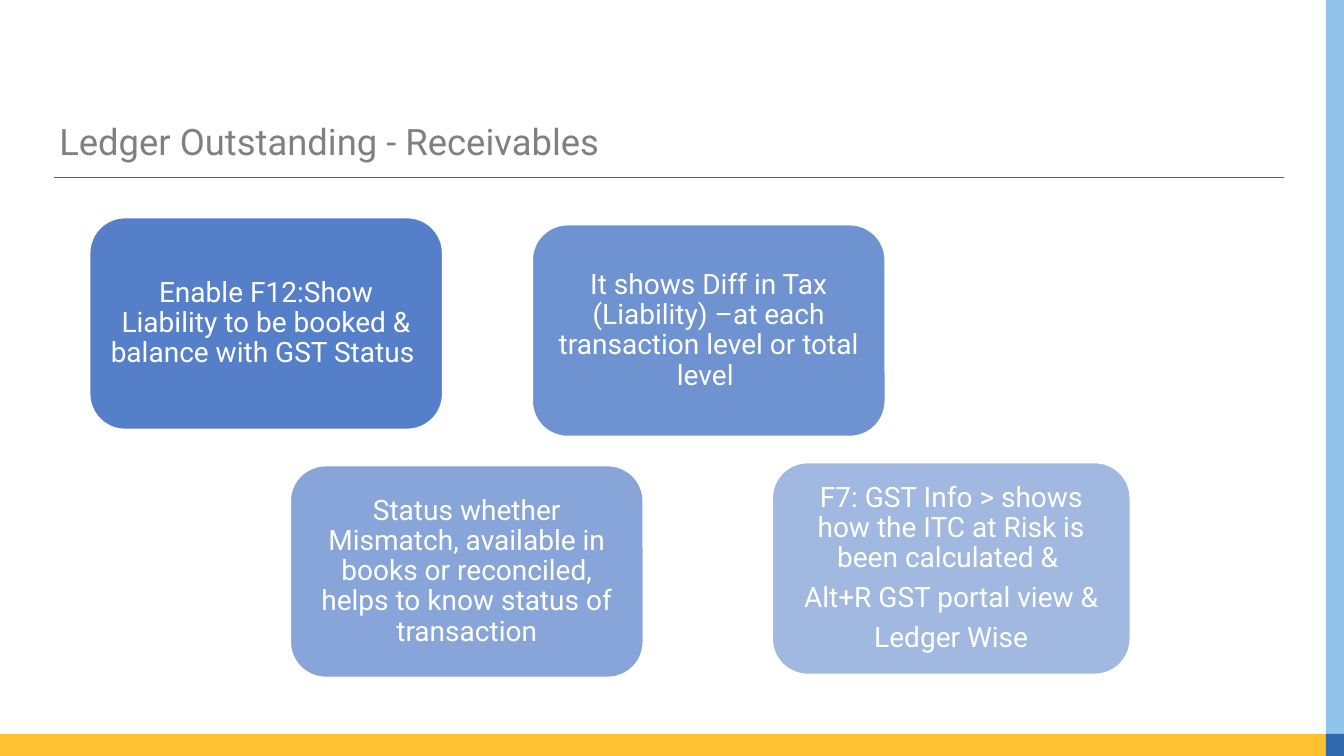
from lxml.etree import SubElement
from pptx import Presentation
from pptx.dml.color import RGBColor
from pptx.enum.shapes import MSO_CONNECTOR, MSO_SHAPE
from pptx.enum.text import MSO_ANCHOR as ANCHOR, PP_ALIGN as ALIGN
from pptx.oxml.ns import qn
from pptx.util import Inches, Pt

FONT = "Roboto"
WHITE = RGBColor(0xFF, 0xFF, 0xFF)
GREY = RGBColor(0x80, 0x80, 0x80)
CARD_BLUE = RGBColor(0x44, 0x72, 0xC4)
YELLOW = RGBColor(0xFF, 0xC0, 0x31)
SKY = RGBColor(0x90, 0xC4, 0xE9)
BLUE = RGBColor(0x2F, 0x69, 0xB0)

WIDTH, HEIGHT = 13.33, 7.5
EDGE_X, EDGE_Y = 13.15, 7.28
CARD_HEIGHT = 2.1

# Left, top, width, opacity in percent, paragraphs
CARDS = [
    (0.89, 2.16, 3.5, 90,
     ["Enable F12:Show Liability to be booked & balance with GST Status "]),
    (5.28, 2.23, 3.5, 77,
     ["It shows Diff in Tax (Liability) –at each transaction level or total level "]),
    (2.88, 4.62, 3.5, 63,
     ["Status whether Mismatch, available in books or reconciled, "
      "helps to know status of transaction"]),
    (7.66, 4.59, 3.55, 50,
     ["F7: GST Info > shows how the ITC at Risk is been calculated & ",
      "Alt+R GST portal view &",
      "Ledger Wise"]),
]


def set_text(p, text, size, color):
    p.text = text
    p.line_spacing = 0.9
    p.font.name = FONT
    p.font.size = Pt(size)
    p.font.color.rgb = color


def add_block(slide, shape, x, y, w, h, color):
    sp = slide.shapes.add_shape(shape, Inches(x), Inches(y), Inches(w), Inches(h))
    sp.shadow.inherit = False
    sp.fill.solid()
    sp.fill.fore_color.rgb = color
    sp.line.fill.background()
    return sp


def add_rule(slide, x1, x2, y):
    line = slide.shapes.add_connector(
        MSO_CONNECTOR.STRAIGHT, Inches(x1), Inches(y), Inches(x2), Inches(y))
    line.line.color.rgb = BLUE
    line.line.width = Pt(0.82)
    SubElement(line._element.spPr, qn("a:effectLst"))


def add_title(slide, text):
    box = slide.shapes.add_textbox(Inches(0.49), Inches(1.18), Inches(12.2), Inches(0.5))
    tf = box.text_frame
    tf.word_wrap = True
    tf.vertical_anchor = ANCHOR.MIDDLE
    set_text(tf.paragraphs[0], text, 26, GREY)


def add_card(slide, x, y, w, opacity, lines):
    sp = add_block(slide, MSO_SHAPE.ROUNDED_RECTANGLE, x, y, w, CARD_HEIGHT, CARD_BLUE)
    fill_color = sp._element.spPr.find(qn("a:solidFill"))[0]
    SubElement(fill_color, qn("a:alpha"), val=str(opacity * 1000))
    sp.line.color.rgb = WHITE
    sp.line.width = Pt(1)

    tf = sp.text_frame
    tf.word_wrap = True
    tf.vertical_anchor = ANCHOR.MIDDLE
    tf.margin_left = tf.margin_right = tf.margin_top = tf.margin_bottom = Inches(0.08)
    for i, text in enumerate(lines):
        p = tf.add_paragraph() if i else tf.paragraphs[0]
        set_text(p, text, 20, WHITE)
        p.alignment = ALIGN.CENTER
        p.space_after = Pt(7)


def main():
    prs = Presentation()
    prs.slide_width, prs.slide_height = Inches(WIDTH), Inches(HEIGHT)
    slide = prs.slides.add_slide(prs.slide_layouts[6])

    # Edge strips and their corner
    side, foot = WIDTH - EDGE_X, HEIGHT - EDGE_Y
    add_block(slide, MSO_SHAPE.RECTANGLE, 0, EDGE_Y, EDGE_X, foot, YELLOW)
    add_block(slide, MSO_SHAPE.RECTANGLE, EDGE_X, 0, side, EDGE_Y, SKY)
    add_block(slide, MSO_SHAPE.RECTANGLE, EDGE_X, EDGE_Y, side, foot, BLUE)

    # Heading
    add_rule(slide, 0.54, 12.73, 1.76)
    add_title(slide, "Ledger Outstanding - Receivables")

    # Cards, each paler than the one before
    for card in CARDS:
        add_card(slide, *card)

    prs.save("out.pptx")


if __name__ == "__main__":
    main()
